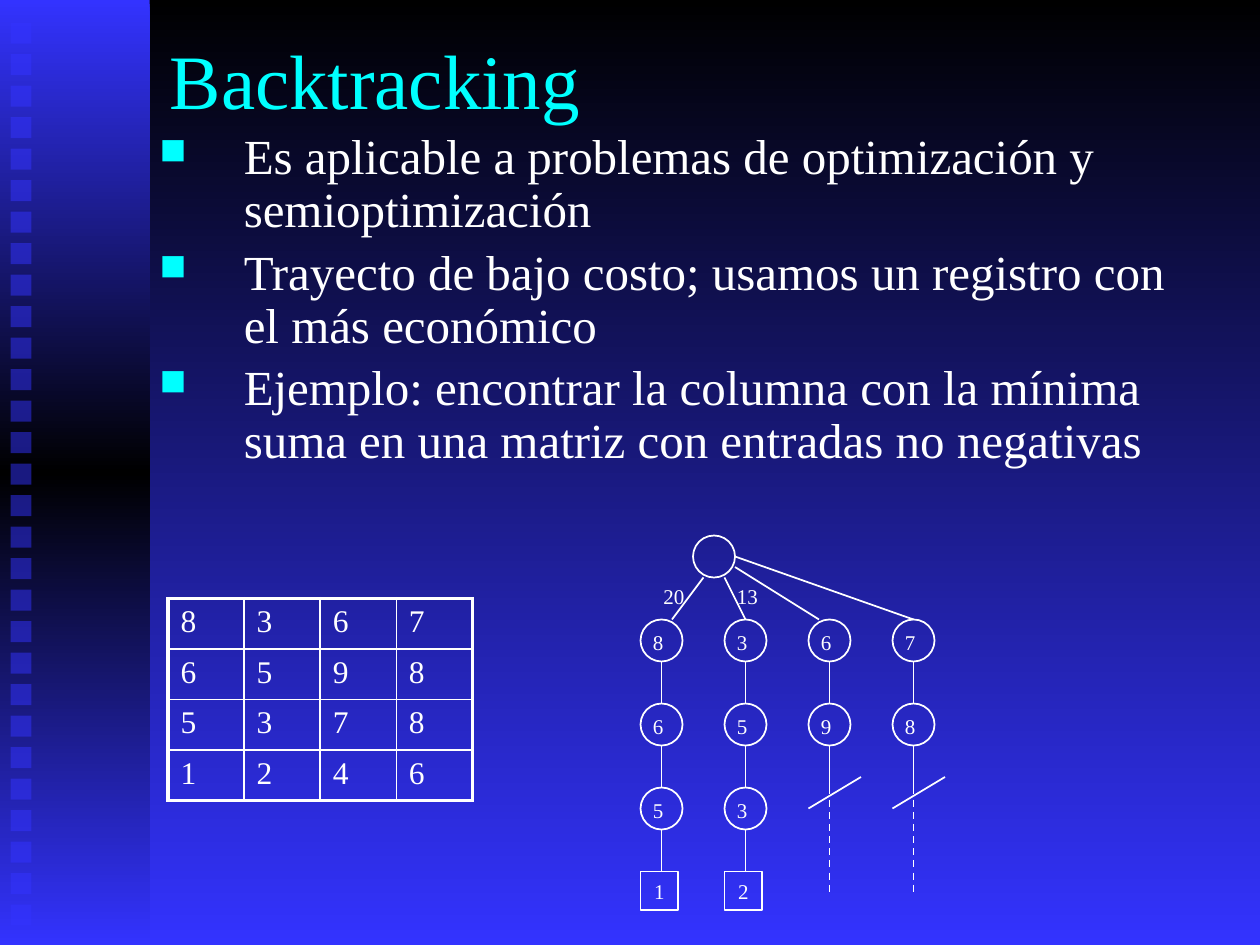
from copy import deepcopy

from lxml import etree
from pptx import Presentation
from pptx.dml.color import RGBColor
from pptx.enum.dml import MSO_LINE
from pptx.enum.shapes import MSO_CONNECTOR, MSO_SHAPE
from pptx.enum.text import MSO_ANCHOR, PP_ALIGN
from pptx.oxml.ns import qn
from pptx.util import Inches, Pt

RECTANGLE, OVAL = MSO_SHAPE.RECTANGLE, MSO_SHAPE.OVAL
STRAIGHT, DASH = MSO_CONNECTOR.STRAIGHT, MSO_LINE.DASH
MIDDLE, CENTER = MSO_ANCHOR.MIDDLE, PP_ALIGN.CENTER

BLACK = RGBColor(0x00, 0x00, 0x00)
BLUE = RGBColor(0x33, 0x33, 0xFF)
CYAN = RGBColor(0x00, 0xFF, 0xFF)
WHITE = RGBColor(0xFF, 0xFF, 0xFF)
FONT = "Times New Roman"

# Content
TITLE = "Backtracking"
POINTS = [
    "Es aplicable a problemas de optimización y semioptimización",
    "Trayecto de bajo costo; usamos un registro con el más económico",
    "Ejemplo: encontrar la columna con la mínima suma en una matriz "
    "con entradas no negativas",
]
MATRIX = [[8, 3, 6, 7], [6, 5, 9, 8], [5, 3, 7, 8], [1, 2, 4, 6]]
COMPLETE_COLUMNS = 2  # the remaining branches are pruned after two levels
SUMS = [("20", 62), ("13", 69)]  # text, left edge in grid units

# The slide is a grid of 120 by 90 units, 12 to the inch
UNIT = Inches(1) / 12
TREE_LEFT, TREE_TOP, STEP, NODE = 61, 59, 8, 4
ROOT = (66, 51)
BRANCHES = [((67, 55), (64, 59)), ((69, 55), (71, 59)),
            ((70, 54), (78, 59)), ((70, 53), (87, 59))]
SQUARE_COUNT, SQUARE_STEP, SQUARE_SIZE = 29, 3, 2

deck = Presentation()
deck.slide_width, deck.slide_height = Inches(10), Inches(7.5)
page = deck.slides.add_slide(deck.slide_layouts[6])
shapes = page.shapes


def units(*values):
    return [round(value * UNIT) for value in values]


def style(para, size, color=WHITE):
    para.font.size = Pt(size)
    para.font.name = FONT
    para.font.color.rgb = color


def shade(fill, colors):
    """Vertical gradient with evenly spaced colours."""
    fill.gradient()
    fill.gradient_angle = 270
    first = fill.gradient_stops[0]._gs
    for _ in colors[2:]:
        first.addnext(deepcopy(first))
    for index, (stop, color) in enumerate(zip(fill.gradient_stops, colors)):
        stop.color.rgb = color
        stop.position = index / (len(colors) - 1)


def add_text(text, left, top, width, height, size, color=WHITE, wrap=True):
    box = shapes.add_textbox(*units(left, top, width, height))
    frame = box.text_frame
    frame.word_wrap = wrap
    frame.text = text
    style(frame.paragraphs[0], size, color)
    return frame


def add_figure(kind, left, top, width, height):
    figure = shapes.add_shape(kind, *units(left, top, width, height))
    figure.shadow.inherit = False
    figure.fill.background()
    figure.line.color.rgb = WHITE
    figure.line.width = Pt(1)
    return figure


def add_line(start, end, dashed=False):
    line = shapes.add_connector(STRAIGHT, *units(*start, *end))
    line.line.color.rgb = WHITE
    line.line.width = Pt(1)
    if dashed:
        line.line.dash_style = DASH
    etree.SubElement(line._element.spPr, qn("a:effectLst"))


def add_bullet(para):
    properties = para._p.get_or_add_pPr()
    properties.set("marL", str(Inches(0.67)))
    properties.set("indent", str(-Inches(0.67)))
    color = etree.SubElement(properties, qn("a:buClr"))
    etree.SubElement(color, qn("a:srgbClr"), val=str(CYAN))
    etree.SubElement(properties, qn("a:buSzPct"), val="75000")
    etree.SubElement(properties, qn("a:buChar"), char="■")


def add_border(cell, side, width):
    border = etree.SubElement(cell._tc.get_or_add_tcPr(), qn("a:" + side),
                              w=str(Pt(width)))
    fill = etree.SubElement(border, qn("a:solidFill"))
    etree.SubElement(fill, qn("a:srgbClr"), val=str(WHITE))


# Background and side band
shade(page.background.fill, [BLACK, BLUE])
band = add_figure(RECTANGLE, 0, 0, 14.25, 90)
band.line.fill.background()
shade(band.fill, [BLUE, BLACK, BLUE])
for index in range(SQUARE_COUNT):
    square = add_figure(RECTANGLE, 1, 2.15 + index * SQUARE_STEP,
                        SQUARE_SIZE, SQUARE_SIZE)
    square.line.fill.background()
    square.fill.solid()
    square.fill.fore_color.rgb = BLUE
    color = square._element.spPr.find(".//" + qn("a:srgbClr"))
    etree.SubElement(color, qn("a:alpha"), val="50000")

# Title and bullet list
add_text(TITLE, 15, 0, 102, 15, 44, CYAN).vertical_anchor = MIDDLE
body = add_text(POINTS[0], 14, 12, 102, 37, 28)
for point in POINTS[1:]:
    body.add_paragraph().text = point
for index, para in enumerate(body.paragraphs):
    para.line_spacing = 0.9
    if index:
        para.space_before = Pt(5.6)
    add_bullet(para)
    style(para, 28)

# Matrix
size = len(MATRIX)
table_shape = shapes.add_table(size, size, *units(16, 57, 29, 19.2))
table = table_shape.table
table.first_row = table.horz_banding = False
for row, values in enumerate(MATRIX):
    for column, value in enumerate(values):
        cell = table.cell(row, column)
        cell.text = str(value)
        style(cell.text_frame.paragraphs[0], 18)
        outer = {"lnL": column == 0, "lnR": column == size - 1,
                 "lnT": row == 0, "lnB": row == size - 1}
        for side, is_outer in outer.items():
            add_border(cell, side, 2.25 if is_outer else 1)
        cell.fill.background()

# Tree root, branches and partial sums
add_figure(OVAL, *ROOT, NODE, NODE)
for start, end in BRANCHES:
    add_line(start, end)
for text, left in SUMS:
    add_text(text, left, 55, 4.4, 3.6, 12, wrap=False)

# Tree columns: nodes, links, leaves and pruned ends
for column in range(size):
    left = TREE_LEFT + column * STEP
    middle = left + NODE / 2
    complete = column < COMPLETE_COLUMNS
    for level in range(size - 1 if complete else 2):
        top = TREE_TOP + level * STEP
        add_text(str(MATRIX[level][column]), left, top + 0.4, 3.4, 3.6, 12)
        add_figure(OVAL, left, top, NODE, NODE)
        add_line((middle, top + NODE), (middle, top + STEP))
    end = top + STEP
    if complete:
        leaf = add_figure(RECTANGLE, left, end, 3.6, 3.7)
        frame = leaf.text_frame
        frame.word_wrap = False
        frame.text = str(MATRIX[-1][column])
        frame.paragraphs[0].alignment = CENTER
        style(frame.paragraphs[0], 12)
    else:
        add_line((middle, end), (middle, end + 10), dashed=True)
        add_line((left + 5, end - 1), (left, end + 2))

deck.save("out.pptx")
